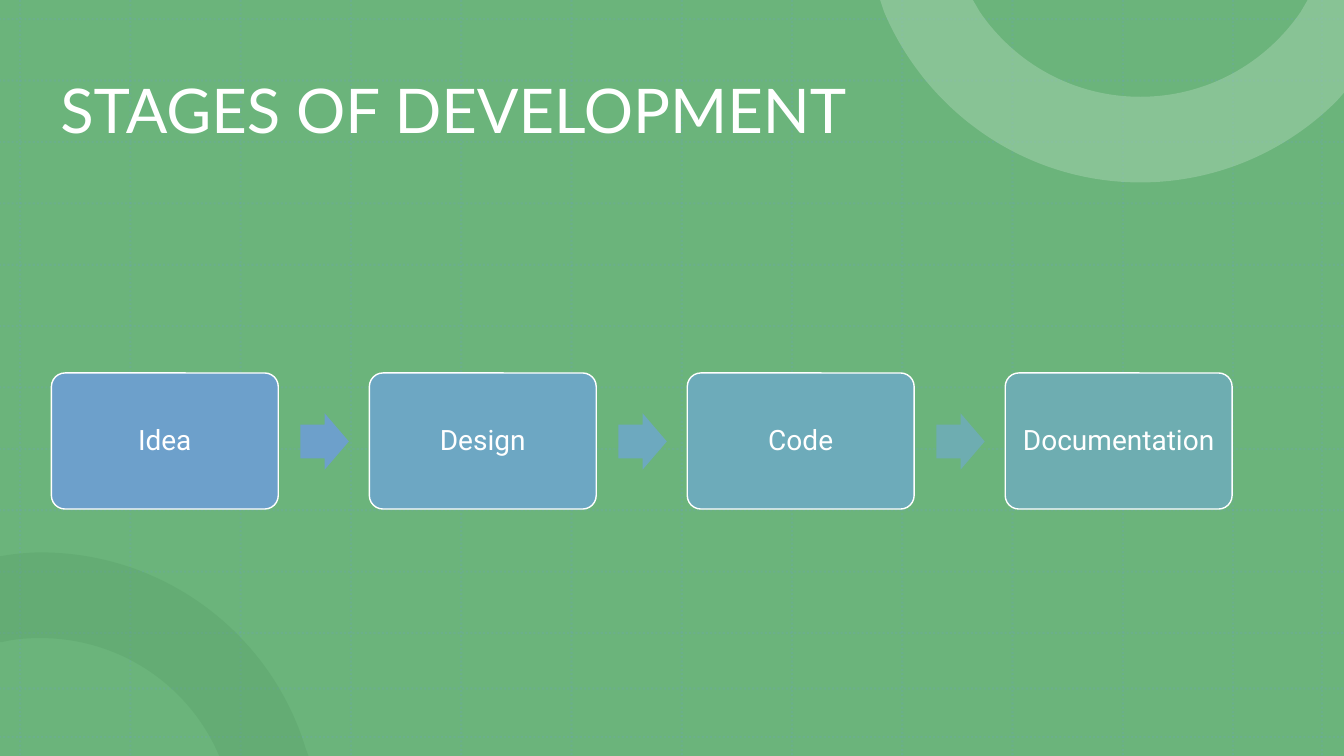
from lxml import etree
from pptx import Presentation
from pptx.dml.color import RGBColor
from pptx.enum.dml import MSO_LINE
from pptx.enum.shapes import MSO_CONNECTOR, MSO_SHAPE as SHAPE
from pptx.enum.text import MSO_ANCHOR, PP_ALIGN
from pptx.oxml.ns import qn
from pptx.util import Inches, Pt

COLORS = {
    "background": "6BB47B",
    "grid": "6DA0CB",
    "dark_ring": "488F58",
    "light_ring": "A6D2B0",
    "white": "FFFFFF",
    "idea": "6DA0CB",
    "design": "6DA7C3",
    "code": "6DABBA",
    "documentation": "6EADB1",
    "arrow_1": "6DA0CB",
    "arrow_2": "6DA9BF",
    "arrow_3": "6EADB1",
}
WIDTH, HEIGHT = 13.33, 7.5


def paint(fill, color, opacity=100):
    fill.solid()
    fill.fore_color.rgb = RGBColor.from_string(COLORS[color])
    if opacity < 100:
        clr = fill._xPr.find(".//" + qn("a:srgbClr"))
        etree.SubElement(clr, qn("a:alpha")).set("val", str(opacity * 1000))


def add_solid(shapes, kind, left, top, width, height, color):
    sp = shapes.add_shape(kind, Inches(left), Inches(top), Inches(width), Inches(height))
    sp.shadow.inherit = False
    paint(sp.fill, color)
    sp.line.fill.background()
    return sp


prs = Presentation()
prs.slide_width, prs.slide_height = Inches(WIDTH), Inches(HEIGHT)
s = prs.slides.add_slide(prs.slide_layouts[6])
add_solid(s.shapes, SHAPE.RECTANGLE, 0, 0, WIDTH, HEIGHT, "background")

columns = [0.2 + i * (12.23 - 0.2) / 11 for i in range(12)] + [13.11]
rows = [0.19 + i * (6.28 - 0.19) / 10 for i in range(11)] + [6.83, 7.31]
grid = [(x, 0, x, HEIGHT) for x in columns] + [(-0.01, y, WIDTH, y) for y in rows]
for ends in grid:
    line = s.shapes.add_connector(MSO_CONNECTOR.STRAIGHT, *[Inches(v) for v in ends])
    line.line.width = Pt(1.5)
    paint(line.line.fill, "grid", 20)
    line.line.dash_style = MSO_LINE.ROUND_DOT
    etree.SubElement(line._element.spPr, qn("a:effectLst"))

RINGS = [
    ("dark_ring", 20, [
        [(0.4, 5.48)],
        [(1.64, 5.48), (2.69, 6.3), (3.03, 7.42)],
        [(3.06, 7.5)], [(2.17, 7.5)], [(2.17, 7.49)],
        [(1.88, 6.81), (1.2, 6.33), (0.4, 6.33)],
        [(0.27, 6.33), (0.14, 6.34), (0.02, 6.37)],
        [(-0.01, 6.37)], [(-0.01, 5.52)], [(0.12, 5.5)],
        [(0.21, 5.49), (0.31, 5.48), (0.4, 5.48)],
    ]),
    ("light_ring", 50, [
        [(8.73, 0)], [(9.65, 0)], [(9.72, 0.12)],
        [(10.07, 0.63), (10.65, 0.96), (11.31, 0.96)],
        [(11.97, 0.96), (12.55, 0.63), (12.9, 0.12)],
        [(12.97, 0)], [(13.33, 0)], [(13.33, 0.92)], [(13.26, 1)],
        [(12.76, 1.5), (12.07, 1.81), (11.31, 1.81)],
        [(10.17, 1.81), (9.19, 1.11), (8.77, 0.12)],
    ]),
]
for color, opacity, segments in RINGS:
    points = [(Inches(x), Inches(y)) for segment in segments for x, y in segment]
    builder = s.shapes.build_freeform(*points[0])
    builder.add_line_segments(points[1:], close=False)
    ring = builder.convert_to_shape()
    outline = ring._element.find(".//" + qn("a:path"))
    steps = iter(list(outline))
    for segment in segments:
        parts = [next(steps) for point in segment]
        if len(parts) == 3:
            curve = etree.Element(qn("a:cubicBezTo"))
            parts[0].addprevious(curve)
            for part in parts:
                curve.append(part[0])
                outline.remove(part)
    etree.SubElement(outline, qn("a:close"))
    ring.shadow.inherit = False
    paint(ring.fill, color, opacity)
    ring.line.fill.background()

title = s.shapes.add_textbox(Inches(0.5), Inches(0.4), Inches(11.73), Inches(1.45))
tf = title.text_frame
tf.word_wrap = True
tf.vertical_anchor = MSO_ANCHOR.MIDDLE
p = tf.paragraphs[0]
p.text = "STAGES OF DEVELOPMENT"
p.line_spacing = 0.9
p.font.name, p.font.size = "Lato", Pt(44)
paint(p.font.fill, "white")

STAGES = ["Idea", "Design", "Code", "Documentation"]
PITCH = (9.97 - 0.51) / 3
for i, stage in enumerate(STAGES):
    left = 0.51 + i * PITCH
    box = add_solid(s.shapes, SHAPE.ROUNDED_RECTANGLE, left, 3.7, 2.25, 1.35, stage.lower())
    box.adjustments[0] = 0.1
    paint(box.line.fill, "white")
    box.line.width = Pt(1)
    tf = box.text_frame
    tf.word_wrap = True
    tf.vertical_anchor = MSO_ANCHOR.MIDDLE
    tf.margin_left = tf.margin_right = tf.margin_top = tf.margin_bottom = Inches(0.08)
    p = tf.paragraphs[0]
    p.text = stage
    p.alignment = PP_ALIGN.CENTER
    p.line_spacing = 0.9
    p.font.name, p.font.size = "Roboto", Pt(20)
    paint(p.font.fill, "white")

    if i < len(STAGES) - 1:
        arrow = add_solid(
            s.shapes, SHAPE.RIGHT_ARROW, left + 2.47, 4.1, 0.48, 0.56, f"arrow_{i + 1}"
        )
        arrow.adjustments[0], arrow.adjustments[1] = 0.6, 0.5

prs.save("out.pptx")
